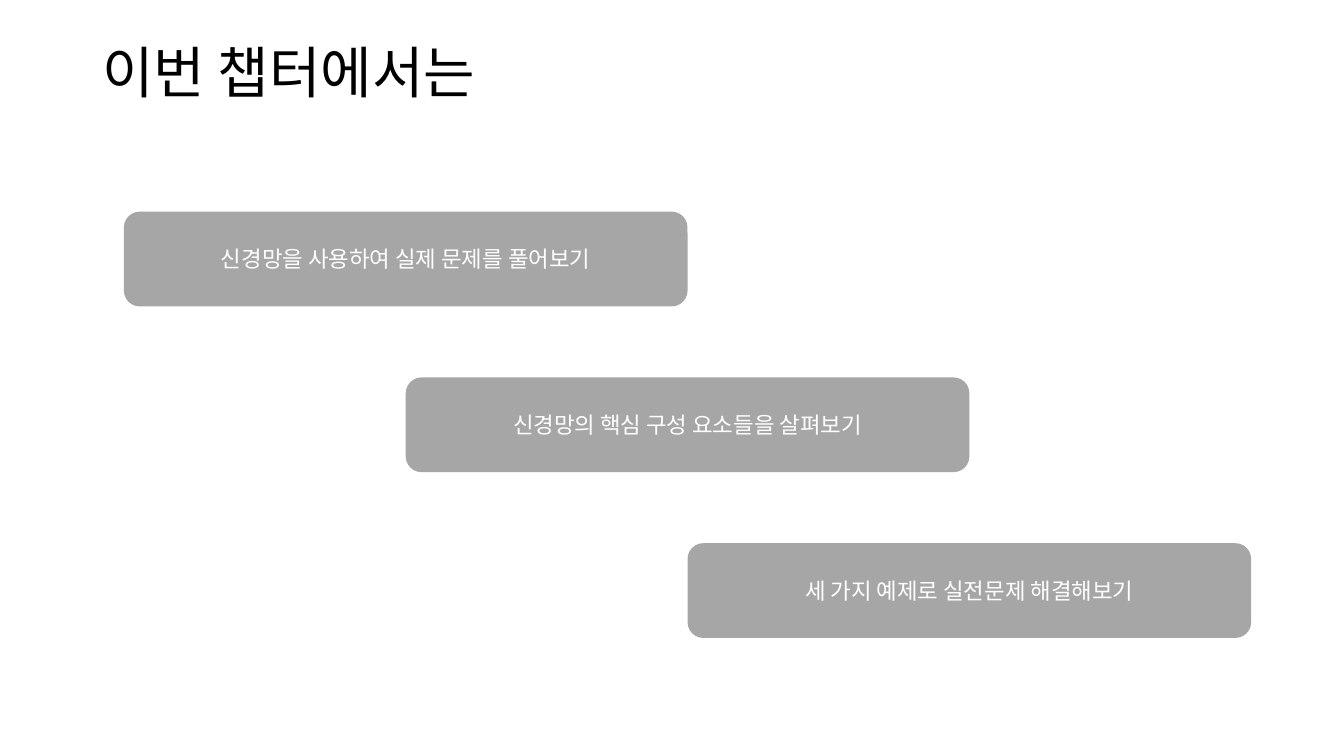
from lxml import etree
from pptx import Presentation
from pptx.dml.color import RGBColor
from pptx.enum import shapes, text
from pptx.oxml import ns
from pptx.util import Pt

FONT = "Noto Sans CJK KR"
BLACK = RGBColor(0x00, 0x00, 0x00)
WHITE = RGBColor(0xFF, 0xFF, 0xFF)
GRAY = RGBColor(0xA6, 0xA6, 0xA6)

TITLE = "이번 챕터에서는"
GOALS = [
    "신경망을 사용하여 실제 문제를 풀어보기",
    "신경망의 핵심 구성 요소들을 살펴보기",
    "세 가지 예제로 실전문제 해결해보기",
]


def write(tf, content, size, color, align, anchor, spacing=1.0):
    tf.word_wrap = True
    tf.auto_size = text.MSO_AUTO_SIZE.NONE
    tf.vertical_anchor = anchor
    p = tf.paragraphs[0]
    p.alignment = align
    p.line_spacing = spacing
    p.space_before = Pt(0)
    r = p.add_run()
    r.text = content
    r.font.size = Pt(size)
    r.font.color.rgb = color
    r.font.name = FONT
    # Korean glyphs use the East Asian typeface
    etree.SubElement(r.font._element, ns.qn("a:ea"), typeface=FONT)


def add_title(s, left, top, width, height):
    sp = s.shapes.title
    sp.left, sp.top, sp.width, sp.height = map(Pt, (left, top, width, height))
    write(sp.text_frame, TITLE, size=40, color=BLACK, align=text.PP_ALIGN.LEFT,
          anchor=text.MSO_ANCHOR.TOP, spacing=0.9)


def add_goal_steps(s, left, top, width, height):
    # Each step starts halfway along the one above it
    last = len(GOALS) - 1
    box_w, box_h = width / (1 + last / 2), 67.7
    step_y = (height - box_h) / last
    for i, goal in enumerate(GOALS):
        sp = s.shapes.add_shape(
            shapes.MSO_SHAPE.ROUNDED_RECTANGLE,
            Pt(left + i * box_w / 2), Pt(top + i * step_y), Pt(box_w), Pt(box_h))
        sp.shadow.inherit = False
        sp.fill.solid()
        sp.fill.fore_color.rgb = GRAY
        sp.line.fill.background()
        write(sp.text_frame, goal, size=16, color=WHITE,
              align=text.PP_ALIGN.CENTER, anchor=text.MSO_ANCHOR.MIDDLE)


def main():
    prs = Presentation()
    prs.slide_width, prs.slide_height = Pt(960), Pt(540)
    s = prs.slides.add_slide(prs.slide_layouts[5])
    add_title(s, 66, 28.8, 828, 104.4)
    add_goal_steps(s, 88.5, 151.2, 805.2, 304.5)
    prs.save("out.pptx")


if __name__ == "__main__":
    main()
